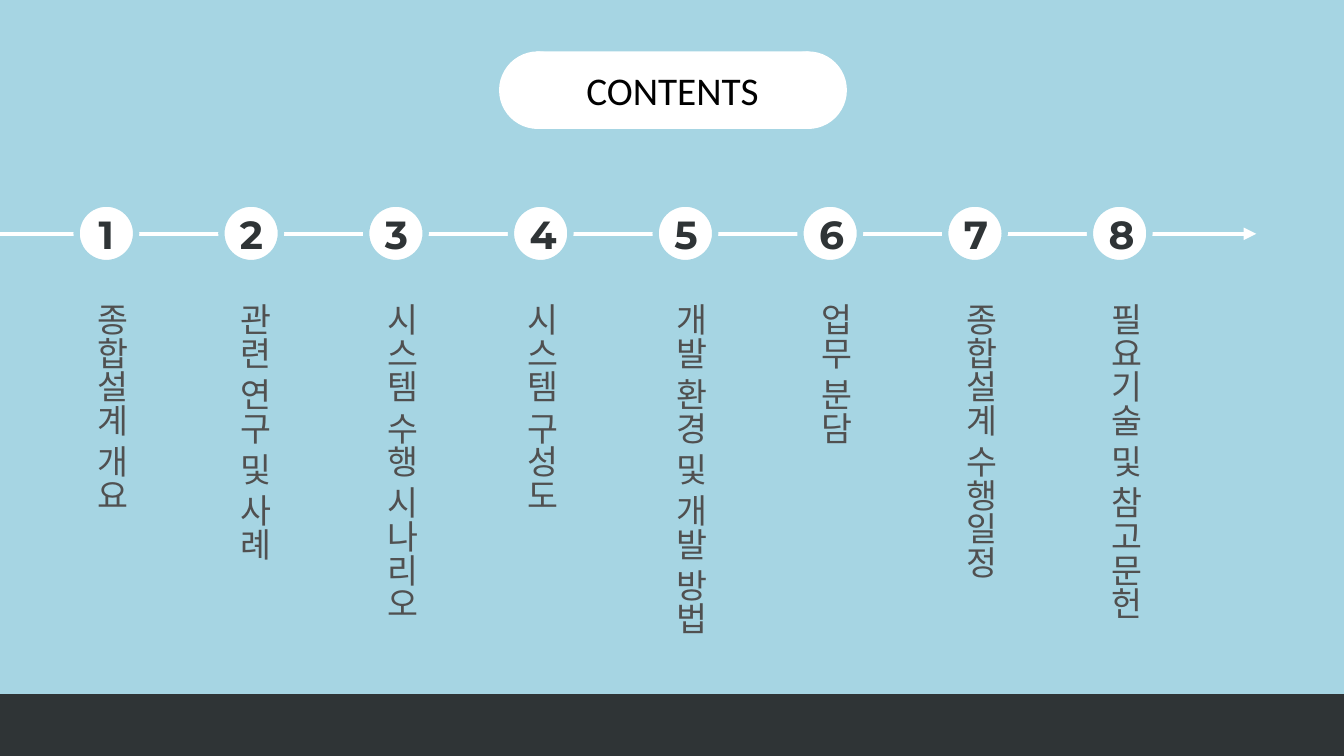
from dataclasses import dataclass

from lxml import etree
from pptx import Presentation
from pptx import util as u
from pptx.dml.color import RGBColor
from pptx.enum import shapes, text
from pptx.oxml import ns
from pptx.shapes.autoshape import Shape
from pptx.slide import Slide

SKY = RGBColor(0xA6, 0xD5, 0xE3)
WHITE = RGBColor(0xFF, 0xFF, 0xFF)
BLACK = RGBColor(0x00, 0x00, 0x00)
CHARCOAL = RGBColor(0x2F, 0x34, 0x36)
GRAY = RGBColor(0x50, 0x50, 0x50)

FIRST_LEFT, LAST_LEFT = 0.76, 10.81
CIRCLE_TOP, CIRCLE_SIZE = 2.02, 0.59
LABEL_TOP, LABEL_WIDTH, LABEL_HEIGHT = 2.91, 0.61, 3.57
PILL_TOP, PILL_HEIGHT = 0.51, 0.77


@dataclass
class Chapter:
    label: str
    nudge: float = 0


CHAPTERS = [
    Chapter("종합설계 개요"),
    Chapter("관련 연구 및 사례", -0.02),
    Chapter("시스템 수행 시나리오"),
    Chapter("시스템 구성도", -0.04),
    Chapter("개발 환경 및 개발 방법"),
    Chapter("업무 분담"),
    Chapter("종합설계 수행일정"),
    Chapter("필요기술 및 참고문헌"),
]


def write(sp: Shape, words: str, size: int, font: str, color: RGBColor,
          bold: bool = False) -> None:
    tf = sp.text_frame
    tf.text = words
    r = tf.paragraphs[0].runs[0]
    r.font.size = u.Pt(size)
    r.font.name = font
    r.font.bold = bold
    r.font.color.rgb = color
    ea = etree.SubElement(r.font._element, ns.qn("a:ea"))
    ea.set("typeface", font)


def center(sp: Shape) -> None:
    sp.text_frame.vertical_anchor = text.MSO_ANCHOR.MIDDLE
    sp.text_frame.paragraphs[0].alignment = text.PP_ALIGN.CENTER


def add_block(s: Slide, kind: shapes.MSO_SHAPE, left: float, top: float,
              width: float, height: float, fill: RGBColor) -> Shape:
    sp = s.shapes.add_shape(kind, u.Inches(left), u.Inches(top),
                            u.Inches(width), u.Inches(height))
    sp.shadow.inherit = False
    sp.fill.solid()
    sp.fill.fore_color.rgb = fill
    sp.line.fill.background()
    return sp


def add_heading(s: Slide) -> None:
    title = s.shapes.title
    title.left, title.top = u.Inches(5.32), u.Inches(PILL_TOP)
    title.width, title.height = u.Inches(2.7), u.Inches(PILL_HEIGHT)
    title.fill.solid()
    title.fill.fore_color.rgb = WHITE
    title.text_frame.auto_size = text.MSO_AUTO_SIZE.NONE
    write(title, "CONTENTS", 28, "Calibri", BLACK)
    center(title)
    for left in (4.95, 7.63):
        add_block(s, shapes.MSO_SHAPE.OVAL, left, PILL_TOP,
                  PILL_HEIGHT, PILL_HEIGHT, WHITE)


def add_timeline(s: Slide) -> None:
    y = u.Inches(2.32)
    arrow = s.shapes.add_connector(shapes.MSO_CONNECTOR.STRAIGHT,
                                   u.Inches(-0.02), y, u.Inches(12.46), y)
    arrow.line.color.rgb = WHITE
    arrow.line.width = u.Pt(3)
    tail = etree.SubElement(arrow.line._get_or_add_ln(), ns.qn("a:tailEnd"))
    tail.set("type", "triangle")
    etree.SubElement(arrow._element.spPr, ns.qn("a:effectLst"))


def add_chapter(s: Slide, number: int, chapter: Chapter, left: float) -> None:
    circle = add_block(s, shapes.MSO_SHAPE.OVAL, left, CIRCLE_TOP,
                       CIRCLE_SIZE, CIRCLE_SIZE, WHITE)
    circle.line.color.rgb = SKY
    circle.line.width = u.Pt(4.5)
    write(circle, str(number), 28, "Montserrat", CHARCOAL, bold=True)
    center(circle)

    label = s.shapes.add_textbox(
        u.Inches(left - 0.01 + chapter.nudge), u.Inches(LABEL_TOP),
        u.Inches(LABEL_WIDTH), u.Inches(LABEL_HEIGHT))
    tf = label.text_frame
    tf.word_wrap = True
    tf.auto_size = text.MSO_AUTO_SIZE.SHAPE_TO_FIT_TEXT
    tf._txBody.bodyPr.set("vert", "eaVert")
    write(label, chapter.label, 24, "Noto Sans CJK KR", GRAY)


def main() -> None:
    prs = Presentation()
    prs.slide_width, prs.slide_height = u.Inches(13.33), u.Inches(7.5)
    s = prs.slides.add_slide(prs.slide_layouts[5])
    s.background.fill.solid()
    s.background.fill.fore_color.rgb = SKY

    add_heading(s)
    add_timeline(s)
    pitch = (LAST_LEFT - FIRST_LEFT) / (len(CHAPTERS) - 1)
    for i, chapter in enumerate(CHAPTERS):
        add_chapter(s, i + 1, chapter, FIRST_LEFT + i * pitch)

    footer = add_block(s, shapes.MSO_SHAPE.RECTANGLE, 0, 6.89, 13.33, 0.61,
                       CHARCOAL)
    footer.line.color.rgb = CHARCOAL
    footer.line.width = u.Pt(1)

    prs.save("out.pptx")


if __name__ == "__main__":
    main()
